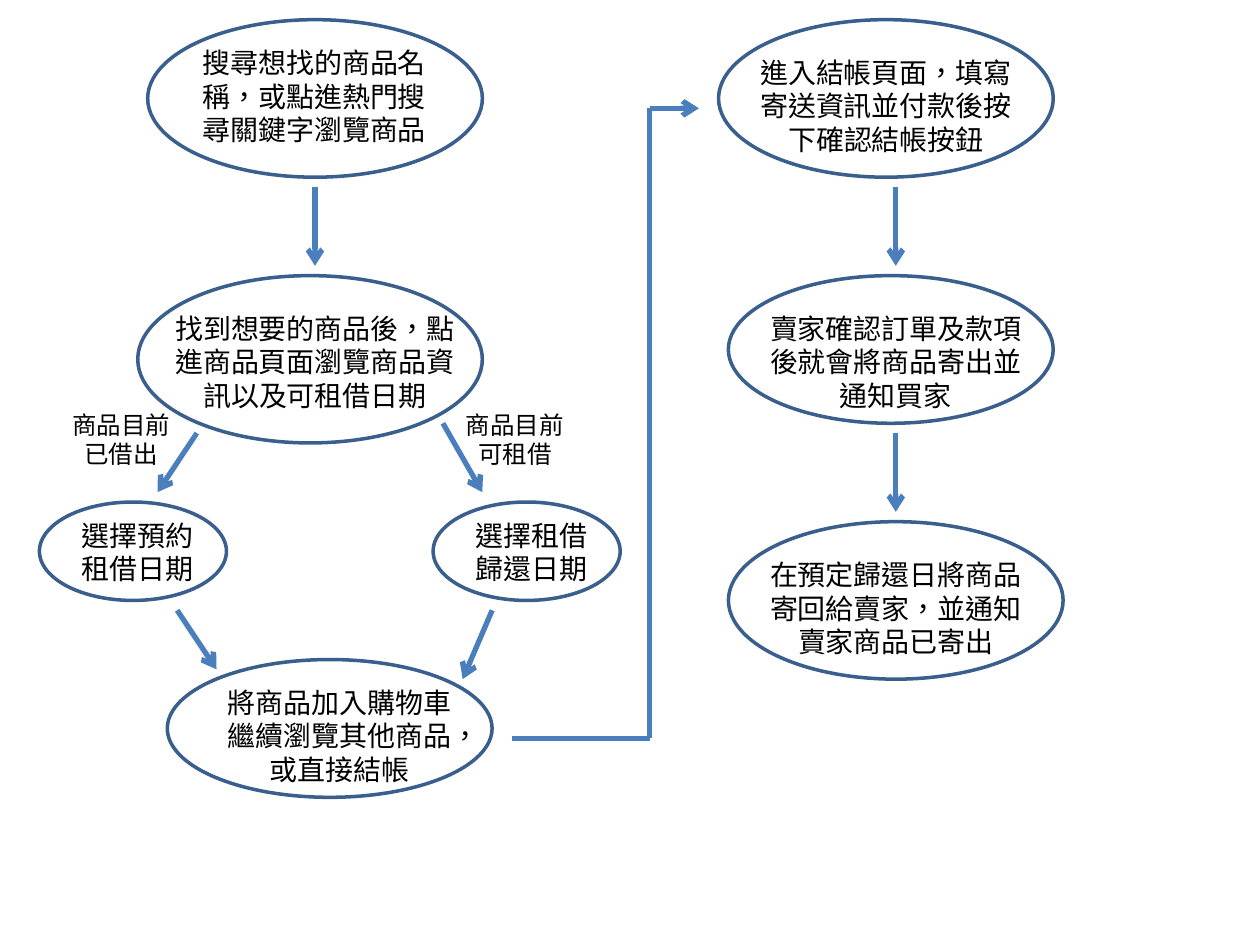
from dataclasses import dataclass

from lxml.etree import SubElement
from pptx import Presentation
from pptx.dml.color import RGBColor
from pptx.enum.lang import MSO_LANGUAGE_ID
from pptx.enum.shapes import MSO_CONNECTOR, MSO_SHAPE
from pptx.enum.text import MSO_ANCHOR, PP_ALIGN
from pptx.oxml.ns import qn
from pptx.slide import Slide
from pptx.util import Pt

COLORS = {"outline": "3A5F8C", "arrow": "4B7EBC", "text": "000000"}
FONT = "Noto Sans CJK TC"
LINE_HEIGHT = 1.21
INSETS = 7.2


@dataclass
class Step:
    """An ellipse with a text box over it, in points."""
    oval: tuple[float, float, float, float]
    text_at: tuple[float, float]
    text_width: float
    lines: int
    text: str


@dataclass
class Label:
    left: float
    paragraphs: tuple[str, ...]


@dataclass
class Arrow:
    """A route through points; the head sits at its last one."""
    route: tuple[tuple[float, float], ...]


STEPS = [
    Step((84.4, 11.25, 191.25, 90), (106.6, 22.5), 146.2, 3,
         "搜尋想找的商品名稱，或點進熱門搜尋關鍵字瀏覽商品"),
    Step((78.75, 157.5, 196.9, 95.6), (90, 174.4), 180, 3,
         "找到想要的商品後，點進商品頁面瀏覽商品資訊以及可租借日期"),
    Step((247.5, 286.9, 106.9, 56.25), (264.4, 292.5), 78.75, 2, "選擇租借歸還日期"),
    Step((22.5, 286.9, 106.9, 56.25), (39.4, 292.5), 78.75, 2, "選擇預約租借日期"),
    Step((95.6, 376.9, 185.6, 78.75), (118.1, 388.1), 151.9, 3,
         "將商品加入購物車繼續瀏覽其他商品，或直接結帳"),
    Step((410.6, 11.25, 191.25, 90), (421.9, 28.1), 168.75, 3,
         "進入結帳頁面，填寫寄送資訊並付款後按下確認結帳按鈕"),
    Step((416.25, 157.5, 185.6, 84.4), (427.5, 174.4), 168.75, 3,
         "賣家確認訂單及款項後就會將商品寄出並通知買家"),
    Step((416.25, 298.1, 191.25, 90), (427.5, 315), 168.75, 3,
         "在預定歸還日將商品寄回給賣家，並通知賣家商品已寄出"),
]

LABEL_TOP, LABEL_WIDTH = 230.6, 71
LABELS = [Label(258.75, ("商品目前", "可租借")), Label(33.75, ("商品目前", "已借出"))]

ARROWS = [
    Arrow(((180, 106.9), (180, 151.9))),
    Arrow(((112.5, 247.5), (90, 281.25))),
    Arrow(((253.1, 241.9), (275.6, 281.25))),
    Arrow(((101.25, 348.75), (123.75, 382.5))),
    Arrow(((281.25, 348.75), (264.4, 388.1))),
    Arrow(((292.5, 421.9), (371.25, 421.9), (371.25, 61.9), (399.4, 61.9))),
    Arrow(((511.9, 106.9), (511.9, 151.9))),
    Arrow(((511.9, 247.5), (511.9, 292.5))),
]


def add_text(page: Slide, paragraphs: tuple[str, ...], *, left: float, top: float,
             width: float, lines: int, size: float, wrap: bool) -> None:
    height = lines * size * LINE_HEIGHT + INSETS
    box = page.shapes.add_textbox(Pt(left), Pt(top), Pt(width), Pt(height))
    frame = box.text_frame
    frame.word_wrap = wrap
    frame.vertical_anchor = MSO_ANCHOR.TOP
    for index, text in enumerate(paragraphs):
        para = frame.add_paragraph() if index else frame.paragraphs[0]
        para.alignment = PP_ALIGN.CENTER
        span = para.add_run()
        span.text = text
        span.font.name = FONT
        span.font.size = Pt(size)
        span.font.color.rgb = RGBColor.from_string(COLORS["text"])
        span.font.language_id = MSO_LANGUAGE_ID.TRADITIONAL_CHINESE


def add_step(page: Slide, step: Step) -> None:
    oval = page.shapes.add_shape(MSO_SHAPE.OVAL, *(Pt(length) for length in step.oval))
    oval.shadow.inherit = False
    oval.fill.background()
    oval.line.color.rgb = RGBColor.from_string(COLORS["outline"])
    oval.line.width = Pt(2)
    left, top = step.text_at
    add_text(page, (step.text,), left=left, top=top, width=step.text_width,
             lines=step.lines, size=16, wrap=True)


def add_arrow(page: Slide, arrow: Arrow) -> None:
    for start, end in zip(arrow.route, arrow.route[1:]):
        line = page.shapes.add_connector(
            MSO_CONNECTOR.STRAIGHT, *(Pt(length) for length in start + end))
        line.line.color.rgb = RGBColor.from_string(COLORS["arrow"])
        line.line.width = Pt(3)
        if end == arrow.route[-1]:
            SubElement(line.line._get_or_add_ln(), qn("a:tailEnd"), type="arrow")
        SubElement(line._element.spPr, qn("a:effectLst"))


def main() -> None:
    deck = Presentation()
    deck.slide_width, deck.slide_height = Pt(720), Pt(540)
    page = deck.slides.add_slide(deck.slide_layouts[6])
    for step in STEPS:
        add_step(page, step)
    for label in LABELS:
        add_text(page, label.paragraphs, left=label.left, top=LABEL_TOP,
                 width=LABEL_WIDTH, lines=len(label.paragraphs), size=14, wrap=False)
    for arrow in ARROWS:
        add_arrow(page, arrow)
    deck.save("out.pptx")


if __name__ == "__main__":
    main()
